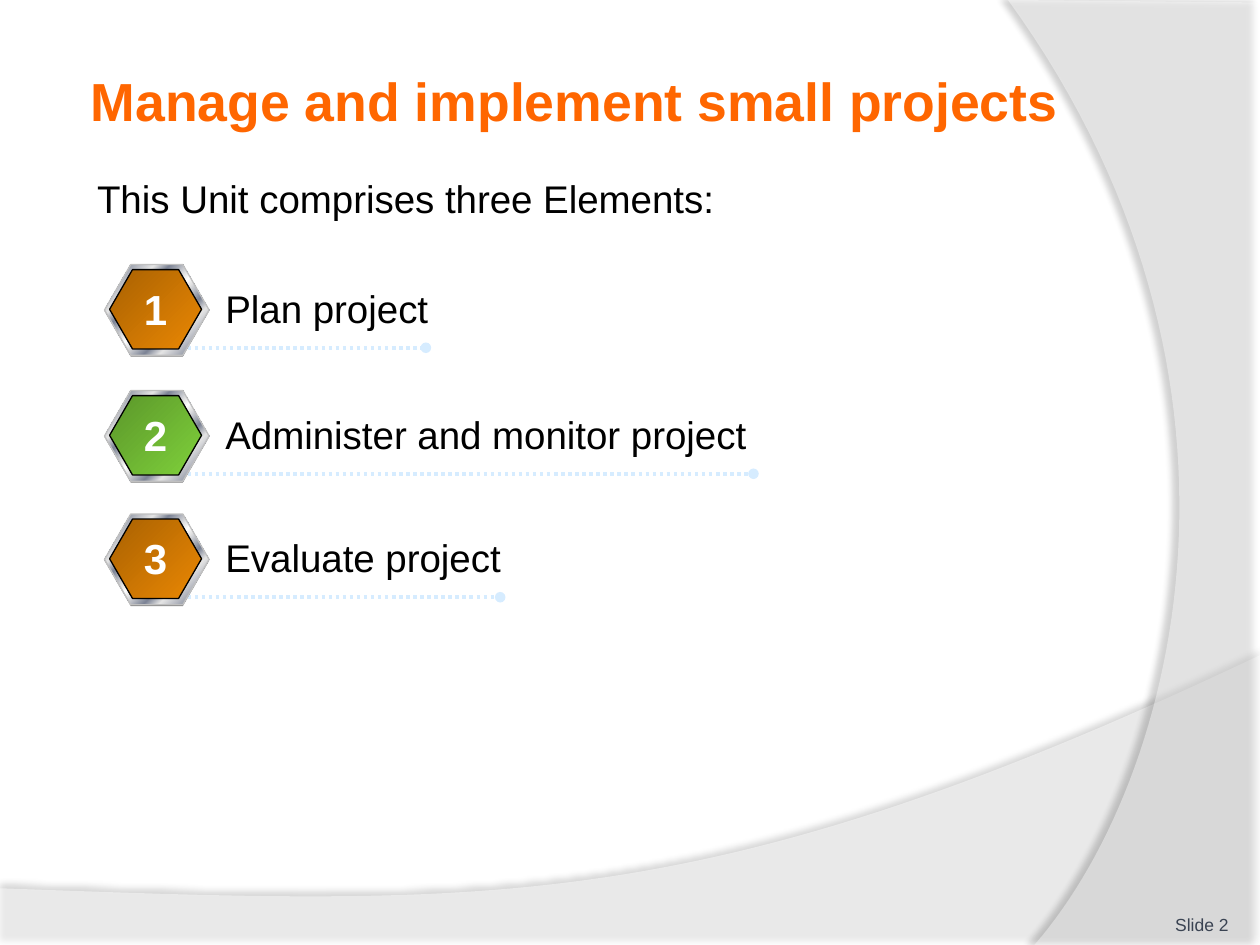
from lxml.etree import SubElement
from pptx import Presentation
from pptx.dml.color import RGBColor
from pptx.enum.dml import MSO_LINE
from pptx.enum.shapes import MSO_CONNECTOR, MSO_SHAPE
from pptx.enum.text import MSO_ANCHOR, MSO_AUTO_SIZE, PP_ALIGN
from pptx.oxml import parse_xml
from pptx.oxml.ns import nsdecls, qn
from pptx.util import Inches, Pt

WHITE = RGBColor(0xFF, 0xFF, 0xFF)
BLACK = RGBColor(0x00, 0x00, 0x00)
ORANGE = RGBColor(0xFF, 0x66, 0x00)
SLATE = RGBColor(0x3A, 0x43, 0x52)
GREY = RGBColor(0x80, 0x80, 0x80)
SILVER = RGBColor(0xC0, 0xC0, 0xC0)
PALE_BLUE = RGBColor(0xD6, 0xEC, 0xFF)
LIGHT = RGBColor(0xE6, 0xE6, 0xE6)
STEEL = RGBColor(0x7D, 0x84, 0x96)
AMBER = [(0, RGBColor(0xA8, 0x61, 0x02)), (100, RGBColor(0xEB, 0x88, 0x03))]
GREEN = [(0, RGBColor(0x5B, 0x96, 0x2A)), (100, RGBColor(0x7F, 0xD1, 0x3B))]
METAL = [(0, LIGHT), (8, STEEL), (26, LIGHT), (34, STEEL), (46, LIGHT), (50, WHITE),
         (54, LIGHT), (66, STEEL), (74, LIGHT), (92, STEEL), (100, LIGHT)]


def write(box, text, size, color, bold=False, align=PP_ALIGN.LEFT):
    para = box.text_frame.paragraphs[0]
    para.alignment = align
    para.space_before = Pt(0)
    span = para.add_run()
    span.text = text
    font = span.font
    font.name, font.size, font.bold = "Arial", Pt(size), bold
    font.color.rgb = color


def add_hexagon(group, left, top, width, height, stops, line_color):
    """Add a hexagon with a diagonal gradient, or flat grey when stops is None."""
    hexagon = group.shapes.add_shape(MSO_SHAPE.HEXAGON, Inches(left), Inches(top),
                                     Inches(width), Inches(height))
    hexagon.shadow.inherit = False
    hexagon.adjustments[0] = 0.289
    if stops is None:
        hexagon.fill.solid()
        hexagon.fill.fore_color.rgb = GREY
        hexagon.line.fill.background()
        return
    hexagon.fill.gradient()
    hexagon.fill.gradient_angle = 315
    stop_list = next(hexagon.element.iter(qn("a:gsLst")))
    stop_list.clear()
    for percent, color in stops:
        stop = SubElement(stop_list, qn("a:gs"), pos=str(percent * 1000))
        SubElement(stop, qn("a:srgbClr"), val=str(color))
    hexagon.line.color.rgb = line_color
    hexagon.line.width = Pt(0.75)


deck = Presentation()
deck.slide_width, deck.slide_height = Inches(10), Inches(7.5)
page = deck.slides.add_slide(deck.slide_layouts[1])

# Translucent background waves: straight corners, then one Bezier curve
waves = [
    ([(0, 7.05), (0, 7.51), (10, 7.51)],
     [(10, 5.2), (5.59, 7.29), (3.91, 7.19), (0, 7.05)], 45, (35, 4, 3.5, 270)),
    ([(10, 0.02), (10, 7.5)],
     [(8.21, 7.5), (9.35, 6.19), (10.18, 3), (8, 0)], 40, (45, 4, 4, 180)),
]
STEPS = 60
for corners, curve, opacity, (shade, blur, distance, angle) in waves:
    points = list(corners)
    for step in range(STEPS + 1):
        t = step / STEPS
        weights = ((1 - t) ** 3, 3 * t * (1 - t) ** 2, 3 * t ** 2 * (1 - t), t ** 3)
        points.append(tuple(sum(w * p[axis] for w, p in zip(weights, curve))
                            for axis in (0, 1)))
    points = [(Inches(x), Inches(y)) for x, y in points]
    builder = page.shapes.build_freeform(*points[0])
    builder.add_line_segments(points[1:], close=True)
    wave = builder.convert_to_shape()
    wave.fill.solid()
    wave.fill.fore_color.rgb = WHITE
    wave.line.fill.background()
    fill_color = wave.element.spPr.find(qn("a:solidFill"))[0]
    SubElement(fill_color, qn("a:alpha"), val=str(opacity * 1000))
    wave.element.spPr.append(parse_xml(
        f'<a:effectLst {nsdecls("a")}><a:outerShdw blurRad="{Pt(blur)}" '
        f'dist="{Pt(distance)}" dir="{angle * 60000}" algn="ctr" rotWithShape="0">'
        f'<a:srgbClr val="000000"><a:alpha val="{shade * 1000}"/></a:srgbClr>'
        '</a:outerShdw></a:effectLst>'))
    # Waves lie behind the placeholders
    page.shapes.title.element.addprevious(wave.element)

title = page.shapes.title
title.left, title.top, title.width, title.height = map(Inches, (0.67, 0.36, 8.17, 0.87))
title.text_frame.margin_left = title.text_frame.margin_right = Inches(0.05)
title.text_frame.vertical_anchor = MSO_ANCHOR.MIDDLE
write(title, "Manage and implement small projects", 30.6, ORANGE, bold=True)

body = page.placeholders[1]
body.left, body.top, body.width, body.height = map(Inches, (0.67, 1.34, 8.17, 5.3))
body_props = body.text_frame.paragraphs[0]._p.get_or_add_pPr()
body_props.set("marL", "0")
body_props.set("indent", "0")
SubElement(body_props, qn("a:buNone"))
write(body, "This Unit comprises three Elements:", 22, BLACK)

number = page.shapes.add_textbox(Inches(8.92), Inches(7.02), Inches(0.83), Inches(0.4))
frame = number.text_frame
frame.word_wrap = True
frame.vertical_anchor = MSO_ANCHOR.BOTTOM
frame.margin_left = frame.margin_right = frame.margin_top = frame.margin_bottom = 0
write(number, "Slide 2", 10, SLATE, align=PP_ALIGN.RIGHT)

# Numbered elements: top, label, label width, end of dotted line, badge colours
elements = [
    (2.1, "Plan project", 2.87, 3.38, AMBER),
    (3.1, "Administer and monitor project", 5.32, 5.98, GREEN),
    (4.08, "Evaluate project", 3.49, 3.97, AMBER),
]
for index, (top, label, label_width, line_end, badge) in enumerate(elements, 1):
    group = page.shapes.add_group_shape()

    rule = group.shapes.add_connector(MSO_CONNECTOR.STRAIGHT, Inches(1.49),
                                      Inches(top + 0.66), Inches(line_end),
                                      Inches(top + 0.66))
    rule.line.color.rgb = PALE_BLUE
    rule.line.width = Pt(2)
    rule.line.dash_style = MSO_LINE.ROUND_DOT
    SubElement(rule.line._get_or_add_ln(), qn("a:tailEnd"), type="oval")
    SubElement(rule.element.spPr, qn("a:effectLst"))

    add_hexagon(group, 0.83, top + 0.01, 0.83, 0.72, None, None)
    add_hexagon(group, 0.83, top, 0.83, 0.72, METAL, SILVER)
    add_hexagon(group, 0.87, top + 0.04, 0.73, 0.63, badge, BLACK)

    label_box = group.shapes.add_textbox(Inches(1.69), Inches(top + 0.11),
                                         Inches(label_width), Inches(0.47))
    label_box.text_frame.word_wrap = True
    write(label_box, label, 22, BLACK)

    digit_box = group.shapes.add_textbox(Inches(1.04), Inches(top + 0.1),
                                         Inches(0.39), Inches(0.5))
    digit_box.text_frame.word_wrap = False
    digit_box.text_frame.auto_size = MSO_AUTO_SIZE.SHAPE_TO_FIT_TEXT
    write(digit_box, str(index), 24, WHITE, bold=True, align=PP_ALIGN.CENTER)

deck.save("out.pptx")
